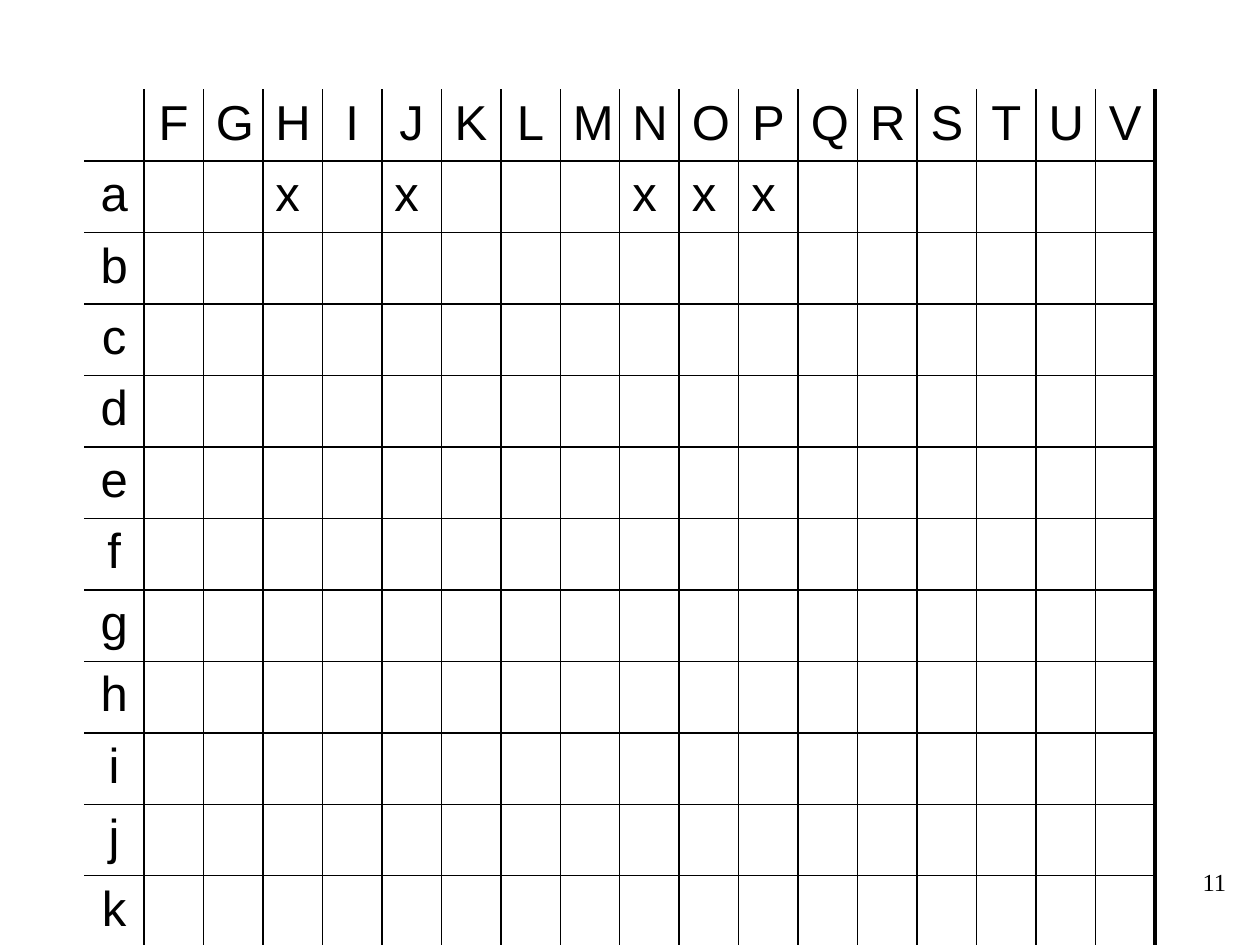
from lxml.etree import SubElement
from pptx import Presentation
from pptx.dml.color import RGBColor
from pptx.enum.text import PP_ALIGN as Align
from pptx.oxml.ns import qn
from pptx.util import Inches, Pt

BLACK = RGBColor(0, 0, 0)
HEADINGS = "FGHIJKLMNOPQRSTUV"
ROW_LABELS = "abcdefghijk"
MARKED = {"a": "HJNOP"}
COLUMNS, ROWS = len(HEADINGS) + 1, len(ROW_LABELS) + 1
THIN, THICK = 1, 2.25


def write(frame, text, align, font_name, size):
    para = frame.paragraphs[0]
    para.text = text
    para.alignment = align
    para.font.name = font_name
    para.font.size = Pt(size)
    para.font.color.rgb = BLACK


def add_border(cell, side, width):
    """Draw one side of a cell; a width of 0 hides it."""
    line = SubElement(cell._tc.get_or_add_tcPr(), qn(f"a:ln{side}"), w=str(Pt(width)))
    if width:
        fill = SubElement(line, qn("a:solidFill"))
        SubElement(fill, qn("a:srgbClr"), val=str(BLACK))
    else:
        SubElement(line, qn("a:noFill"))


def format_cell(cell, row, column):
    # The outer edge is open at left and top, heavy at right and bottom
    add_border(cell, "L", THIN if column else 0)
    add_border(cell, "R", THICK if column == COLUMNS - 1 else THIN)
    add_border(cell, "T", THIN if row else 0)
    add_border(cell, "B", THICK if row == ROWS - 1 else THIN)
    cell.fill.background()


def add_matrix(page, left, top, width, height):
    table = page.shapes.add_table(ROWS, COLUMNS, left, top, width, height).table
    table.first_row = table.horz_banding = False
    for column in table.columns:
        column.width = width // COLUMNS
    for row in table.rows:
        row.height = height // ROWS

    for row in range(ROWS):
        for column in range(COLUMNS):
            format_cell(table.cell(row, column), row, column)

    # Headings, row labels and marks
    for column, letter in enumerate(HEADINGS, 1):
        write(table.cell(0, column).text_frame, letter, Align.CENTER, "Arial", 28)
    for row, label in enumerate(ROW_LABELS, 1):
        write(table.cell(row, 0).text_frame, label, Align.CENTER, "Arial", 28)
        for letter in MARKED.get(label, ""):
            column = HEADINGS.index(letter) + 1
            write(table.cell(row, column).text_frame, "x", Align.LEFT, "Arial", 28)


def add_page_number(page, number):
    box = page.shapes.add_textbox(Inches(7.75), Inches(6.83), Inches(2.08), Inches(0.5))
    box.text_frame.word_wrap = True
    write(box.text_frame, number, Align.RIGHT, "Times New Roman", 14)


def main():
    deck = Presentation()
    deck.slide_width, deck.slide_height = Inches(10), Inches(7.5)
    page = deck.slides.add_slide(deck.slide_layouts[6])
    add_page_number(page, "11")
    add_matrix(page, Inches(0.67), Inches(0.71), Inches(8.5), Inches(6.8))
    deck.save("out.pptx")


if __name__ == "__main__":
    main()
